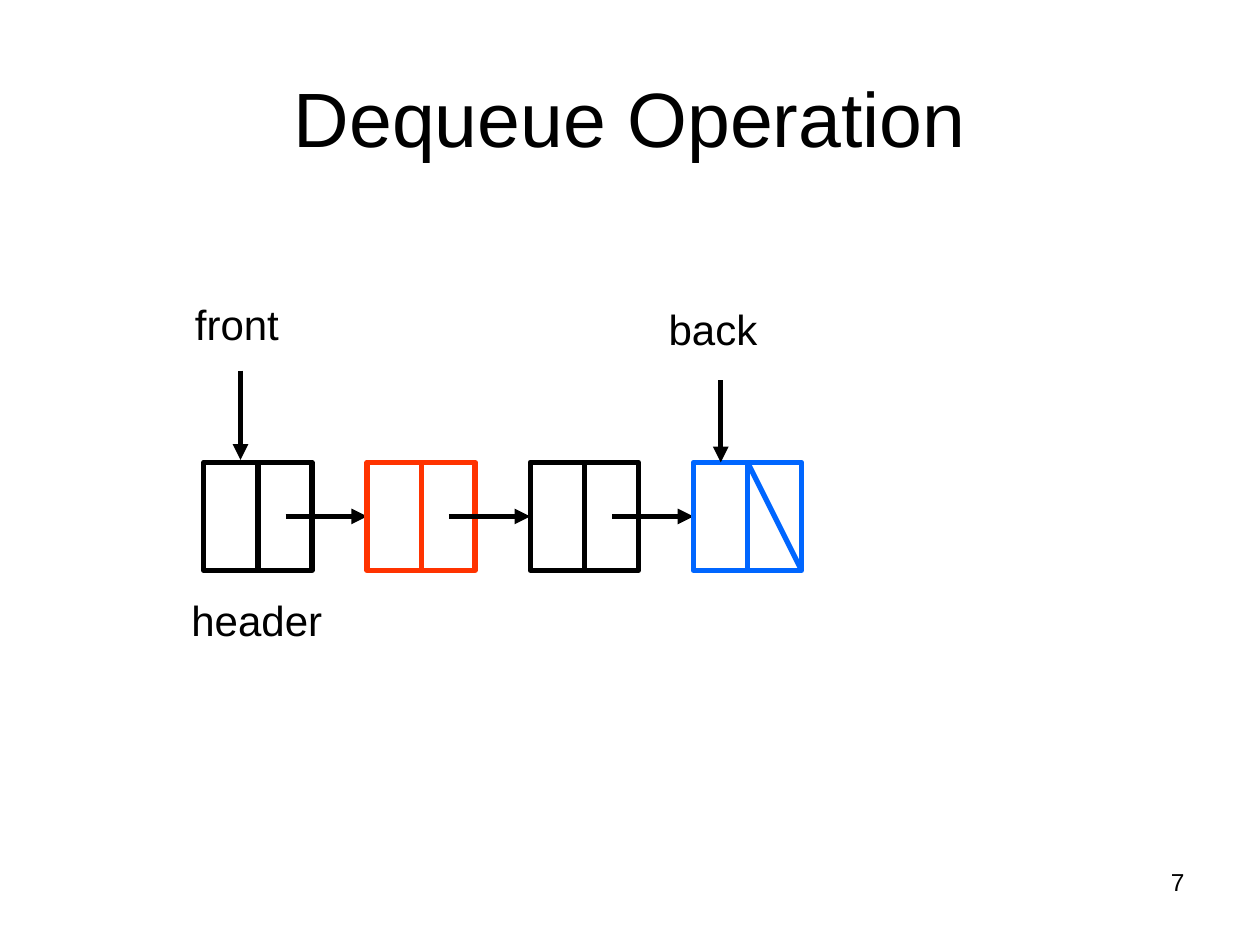
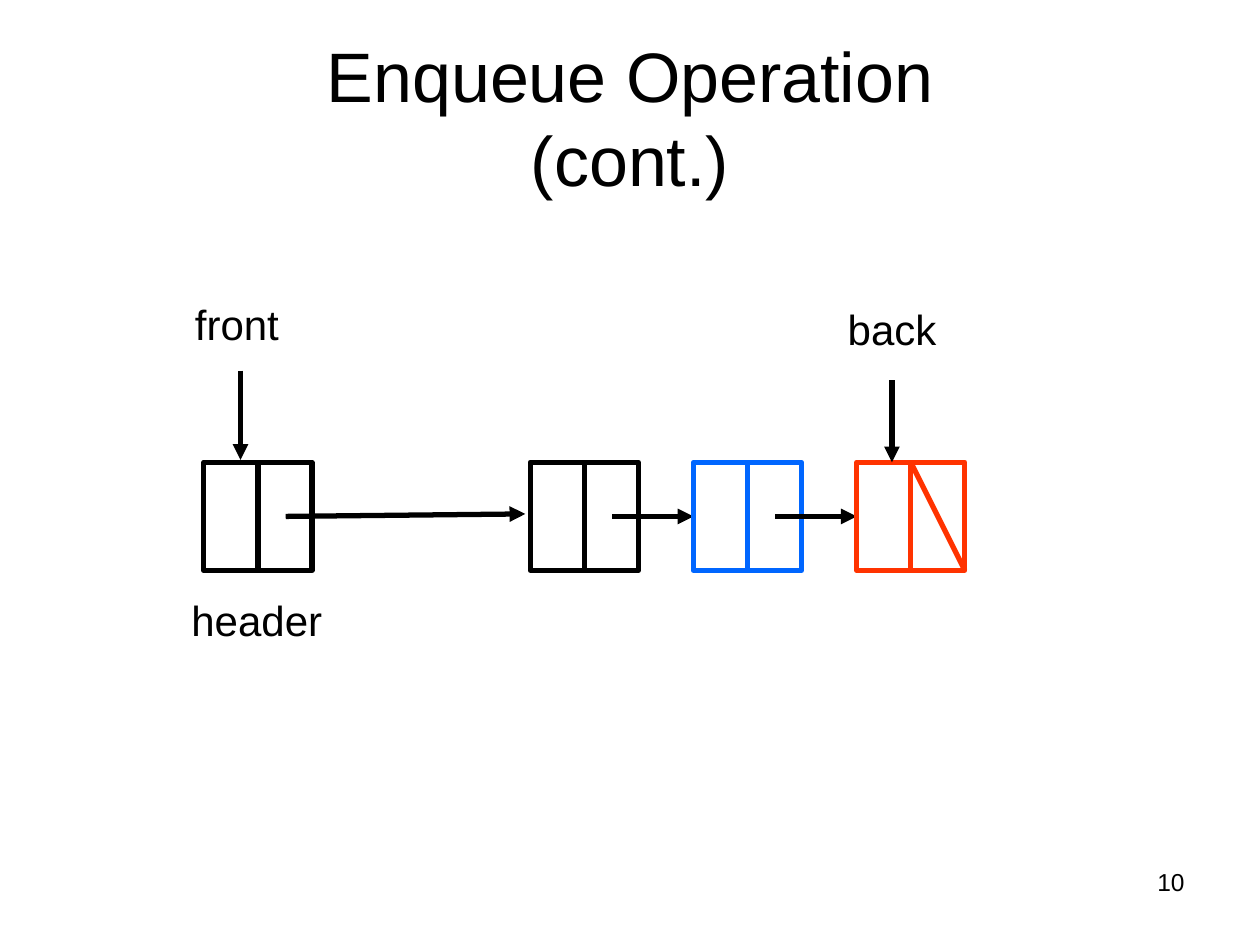
import pptx
import pptx.dml.color
import pptx.enum.shapes
import pptx.enum.text
import pptx.oxml
import pptx.oxml.ns
import pptx.util
from pptx.util import Cm

COLOURS = {"ink": "000000", "paper": "FFFFFF", "red": "FF3300", "blue": "0066FF"}
FONT = "Arial"
LINE_WIDTH = 3

# Linked list grid, in centimetres
LIST_LEFT, NODE_TOP = 4.11, 9.32
NODE_SIZE, NODE_PITCH = 2.18, 3.29
LINK_START = 1.65
NODE_MIDDLE = NODE_TOP + NODE_SIZE / 2
NODE_BOTTOM = NODE_TOP + NODE_SIZE


def node_left(slot):
    return LIST_LEFT + slot * NODE_PITCH


class QueueDeck:
    """Holds the style and the slide being drawn."""

    def __init__(self):
        self.presentation = pptx.Presentation()
        self.presentation.slide_width = Cm(25.4)
        self.presentation.slide_height = Cm(19.05)
        self.slide = None

    def colour(self, name):
        return pptx.dml.color.RGBColor.from_string(COLOURS[name])

    def format_text(self, text_frame, size, align):
        text_frame.word_wrap = True
        for paragraph in text_frame.paragraphs:
            paragraph.alignment = align
            for run in paragraph.runs:
                run.font.name = FONT
                run.font.size = pptx.util.Pt(size)
                run.font.color.rgb = self.colour("ink")

    def new_slide(self, title, title_size, number):
        layout = self.presentation.slide_layouts[5]
        self.slide = self.presentation.slides.add_slide(layout)
        # Title
        shape = self.slide.shapes.title
        shape.left, shape.top = Cm(1.27), Cm(0.76)
        shape.width, shape.height = Cm(22.86), Cm(3.18)
        text_frame = shape.text_frame
        text_frame.text = title
        text_frame.auto_size = pptx.enum.text.MSO_AUTO_SIZE.NONE
        text_frame.vertical_anchor = pptx.enum.text.MSO_ANCHOR.MIDDLE
        self.format_text(text_frame, title_size, pptx.enum.text.PP_ALIGN.CENTER)
        # Slide number
        self.label(str(number), 18.21, 17.35, 5.92, 1.32, size=14,
                   align=pptx.enum.text.PP_ALIGN.RIGHT)

    def label(self, text, left, top, width, height, size=24,
              align=pptx.enum.text.PP_ALIGN.LEFT):
        box = self.slide.shapes.add_textbox(Cm(left), Cm(top), Cm(width), Cm(height))
        box.text_frame.text = text
        self.format_text(box.text_frame, size, align)
        return box

    def line(self, start, end, colour="ink", arrow=False):
        connector = self.slide.shapes.add_connector(
            pptx.enum.shapes.MSO_CONNECTOR.STRAIGHT,
            Cm(start[0]), Cm(start[1]), Cm(end[0]), Cm(end[1]))
        connector.line.color.rgb = self.colour(colour)
        connector.line.width = pptx.util.Pt(LINE_WIDTH)
        properties = connector.element.spPr
        if arrow:
            outline = properties.find(pptx.oxml.ns.qn("a:ln"))
            outline.append(self.drawing_element('tailEnd type="triangle"'))
        properties.append(self.drawing_element("effectLst"))

    def drawing_element(self, tag):
        namespace = pptx.oxml.ns.nsdecls("a")
        return pptx.oxml.parse_xml(f"<a:{tag} {namespace}/>")

    def node(self, slot, colour, last=False):
        left = node_left(slot)
        centre = left + NODE_SIZE / 2
        shape = self.slide.shapes.add_shape(
            pptx.enum.shapes.MSO_SHAPE.RECTANGLE,
            Cm(left), Cm(NODE_TOP), Cm(NODE_SIZE), Cm(NODE_SIZE))
        shape.shadow.inherit = False
        shape.fill.solid()
        shape.fill.fore_color.rgb = self.colour("paper")
        shape.line.color.rgb = self.colour(colour)
        shape.line.width = pptx.util.Pt(LINE_WIDTH)
        self.line((centre, NODE_TOP), (centre, NODE_BOTTOM), colour)
        if last:
            self.line((centre, NODE_TOP), (left + NODE_SIZE, NODE_BOTTOM), colour)

    def link(self, slot, target):
        start = (node_left(slot) + LINK_START, NODE_MIDDLE)
        end = (node_left(target), NODE_MIDDLE)
        if target - slot > 1:  # a link past a removed node stops just short
            end = (end[0] - 0.1, end[1] - 0.05)
        self.line(start, end, arrow=True)

    def linked_list(self, nodes):
        """Draw nodes given as {slot: colour}, each linked to the next."""
        slots = list(nodes)
        for slot, target in zip(slots, slots[1:] + [None]):
            self.node(slot, nodes[slot], last=target is None)
            if target is not None:
                self.link(slot, target)

    def pointers(self, back_label_left, back_arrow_x):
        self.label("front", 3.68, 5.89, 2.54, 0.94)
        self.line((4.85, 7.47), (4.85, 9.27), arrow=True)
        self.label("back", back_label_left, 5.99, 2.86, 0.97)
        self.line((back_arrow_x, 7.67), (back_arrow_x, NODE_TOP), arrow=True)
        header = self.label("header", 3.61, 11.86, 4.01, 1.27)
        header.text_frame.paragraphs[0].space_before = pptx.util.Pt(15)
        header.text_frame.auto_size = pptx.enum.text.MSO_AUTO_SIZE.SHAPE_TO_FIT_TEXT


def main():
    deck = QueueDeck()

    # Dequeue: the red node follows the header
    deck.new_slide("Dequeue Operation", 44, 7)
    deck.linked_list({0: "ink", 1: "red", 2: "ink", 3: "blue"})
    deck.pointers(back_label_left=13.23, back_arrow_x=14.53)

    # Enqueue: the red node joins at the back
    deck.new_slide("Enqueue Operation\v(cont.)", 40, 10)
    deck.linked_list({0: "ink", 2: "ink", 3: "blue", 4: "red"})
    deck.pointers(back_label_left=16.84, back_arrow_x=17.98)

    deck.presentation.save("out.pptx")


if __name__ == "__main__":
    main()
